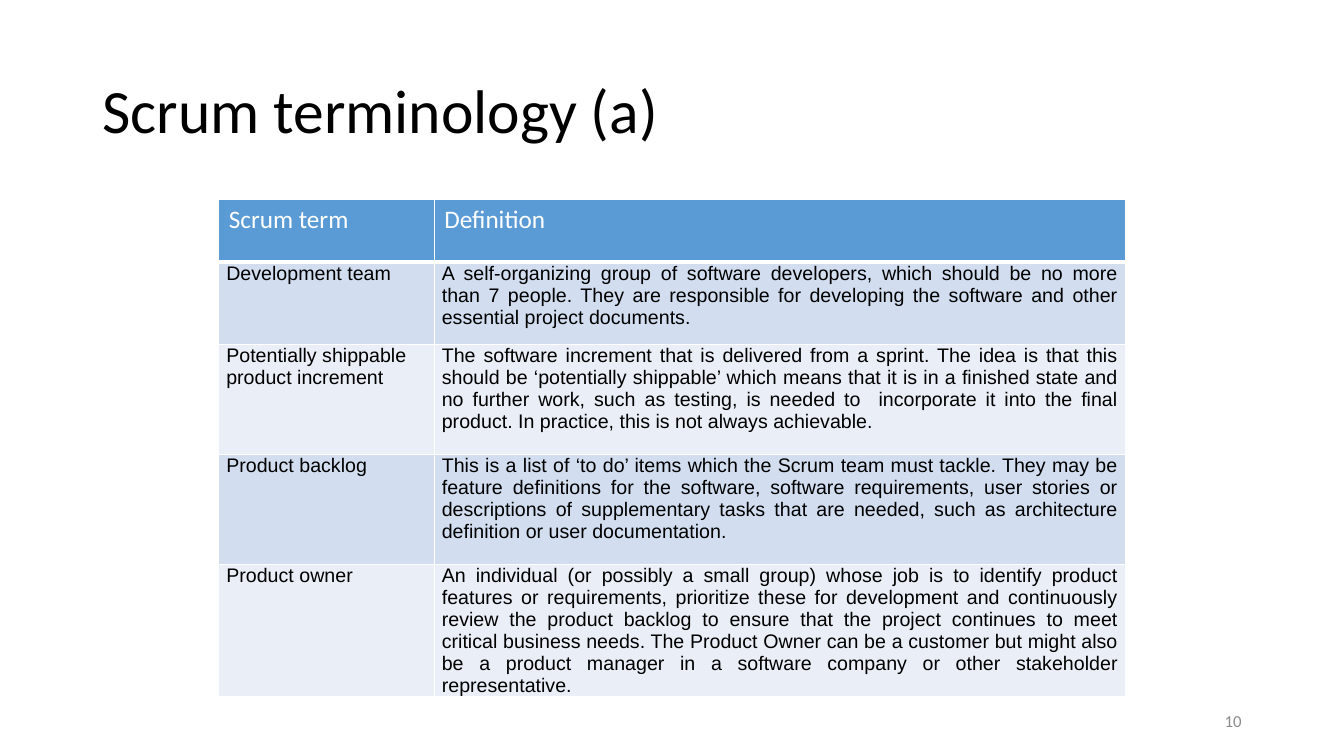
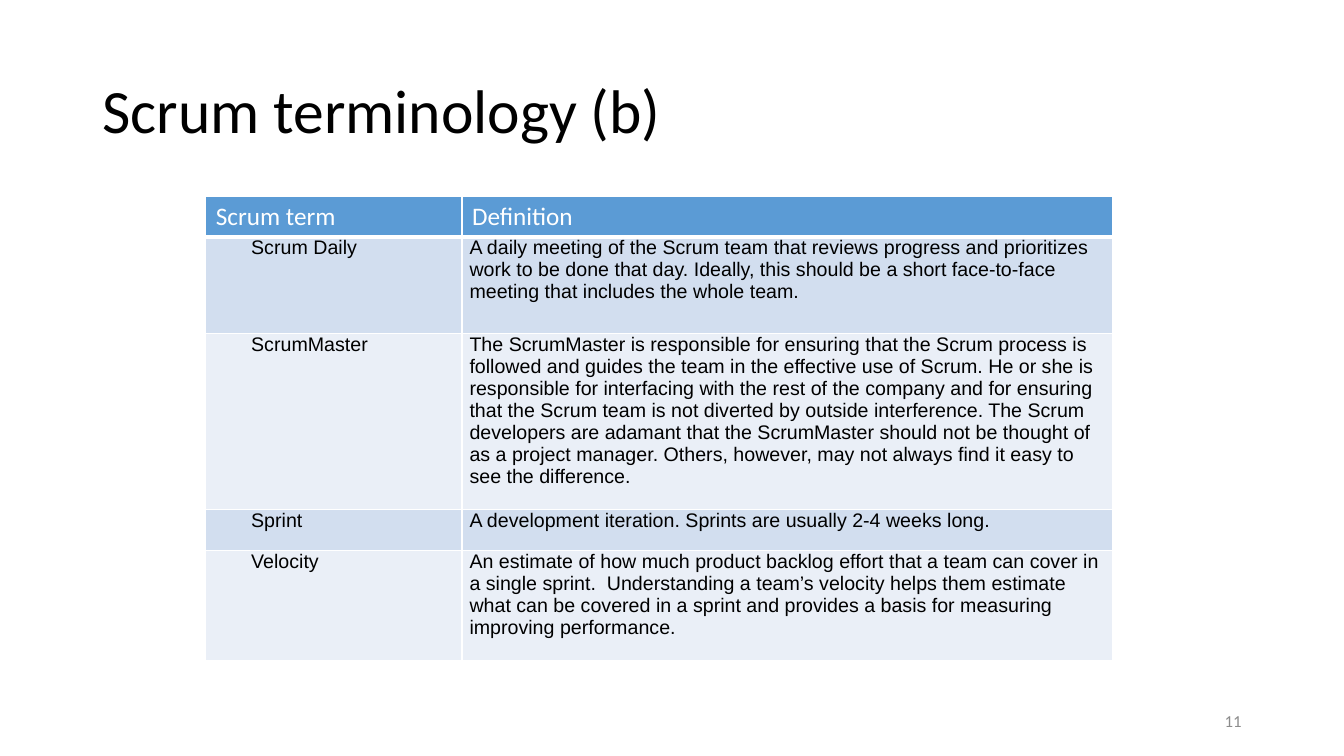
from dataclasses import dataclass
from typing import Any

from lxml.etree import SubElement
from pptx import Presentation
from pptx.dml.color import RGBColor
from pptx.enum.text import MSO_ANCHOR, MSO_AUTO_SIZE, PP_ALIGN
from pptx.oxml import parse_xml
from pptx.oxml.ns import nsdecls, qn
from pptx.util import Pt

WHITE, BLACK, GREY = "FFFFFF", "000000", "8C8C8C"
HEADER_BLUE, BODY_BLUES = "5B9BD5", ("D2DEEF", "EAEFF7")
FIRST_NUMBER = 10
HEADINGS = ("Scrum term", "Definition")

TITLE_FONT = {"name": "Calibri", "size": Pt(44), "bold": False}
HEADER_FONT = {"name": "Calibri", "size": Pt(18), "bold": False}
BODY_FONT = {"name": "Arial", "size": Pt(14), "bold": False}
TITLE_BOX = {"left": Pt(66), "top": Pt(28.75), "width": Pt(828), "height": Pt(104.4)}
TITLE_FRAME = {
    "vertical_anchor": MSO_ANCHOR.MIDDLE,
    "auto_size": MSO_AUTO_SIZE.NONE,
    "word_wrap": True,
}
TITLE_PARAGRAPH = {"alignment": PP_ALIGN.LEFT, "line_spacing": 0.9}
BODY_MARGINS = {
    "margin_left": Pt(5.4),
    "margin_right": Pt(5.4),
    "margin_top": Pt(0),
    "margin_bottom": Pt(0),
}


@dataclass(frozen=True)
class Term:
    name: str
    definition: str
    height: float
    space_after: float = 0


@dataclass(frozen=True)
class Glossary:
    title: str
    left: float
    top: float
    widths: tuple[float, float]
    header_height: float
    term_indent: float
    alignment: PP_ALIGN
    terms: tuple[Term, ...]


GLOSSARIES = (
    Glossary(
        "Scrum terminology (a)", 156.25, 142.5, (154, 494), 44.8, 0, PP_ALIGN.JUSTIFY,
        (
            Term(
                "Development team",
                "A self-organizing group of software developers, which should be no more "
                "than 7 people. They are responsible for developing the software and other "
                "essential project documents.",
                58.8,
            ),
            Term(
                "Potentially shippable product increment",
                "The software increment that is delivered from a sprint. The idea is that this "
                "should be ‘potentially shippable’ which means that it is in a finished state "
                "and no further work, such as testing, is needed to  incorporate it into the "
                "final product. In practice, this is not always achievable.",
                78.6,
            ),
            Term(
                "Product backlog",
                "This is a list of ‘to do’ items which the Scrum team must tackle. They may be "
                "feature definitions for the software, software requirements, user stories or "
                "descriptions of supplementary tasks that are needed, such as architecture "
                "definition or user documentation.",
                78.6,
            ),
            Term(
                "Product owner",
                "An individual (or possibly a small group) whose job is to identify product "
                "features or requirements, prioritize these for development and continuously "
                "review the product backlog to ensure that the project continues to meet "
                "critical business needs. The Product Owner can be a customer but might also "
                "be a product manager in a software company or other stakeholder "
                "representative.",
                94.2,
            ),
        ),
    ),
    Glossary(
        "Scrum terminology (b)", 147, 140, (183, 465), 29.2, 27, PP_ALIGN.LEFT,
        (
            Term(
                "Scrum Daily",
                "A daily meeting of the Scrum team that reviews progress and prioritizes work "
                "to be done that day. Ideally, this should be a short face-to-face meeting "
                "that includes the whole team.",
                69,
                6,
            ),
            Term(
                "ScrumMaster",
                "The ScrumMaster is responsible for ensuring that the Scrum process is followed "
                "and guides the team in the effective use of Scrum. He or she is responsible "
                "for interfacing with the rest of the company and for ensuring that the Scrum "
                "team is not diverted by outside interference. The Scrum developers are adamant "
                "that the ScrumMaster should not be thought of as a project manager. Others, "
                "however, may not always find it easy to see the difference.",
                125.8,
            ),
            Term(
                "Sprint",
                "A development iteration. Sprints are usually 2-4 weeks long.",
                29.2,
            ),
            Term(
                "Velocity",
                "An estimate of how much product backlog effort that a team can cover in a "
                "single sprint.  Understanding a team’s velocity helps them estimate what can "
                "be covered in a sprint and provides a basis for measuring improving "
                "performance.",
                78.6,
            ),
        ),
    ),
)


def apply(target: Any, values: dict[str, Any]) -> None:
    for name, value in values.items():
        setattr(target, name, value)


def paint(target: Any, colour: str) -> None:
    target.rgb = RGBColor.from_string(colour)


def write(frame: Any, text: str, font: dict[str, Any], colour: str) -> Any:
    para = frame.paragraphs[0]
    span = para.add_run()
    span.text = text
    apply(span.font, font)
    paint(span.font.color, colour)
    return para


def add_borders(cell: Any, bottom: float) -> None:
    properties = cell._tc.get_or_add_tcPr()
    widths = {"lnL": 1, "lnR": 1, "lnT": 1, "lnB": bottom}
    for position, (side, width) in enumerate(widths.items()):
        border = parse_xml(
            f'<a:{side} {nsdecls("a")} w="{Pt(width)}"><a:solidFill>'
            f'<a:srgbClr val="{WHITE}"/></a:solidFill></a:{side}>'
        )
        properties.insert(position, border)


def fill_cell(cell: Any, text: str, font: dict[str, Any], colour: str,
              background: str, bottom: float = 1) -> Any:
    cell.fill.solid()
    paint(cell.fill.fore_color, background)
    add_borders(cell, bottom)
    return write(cell.text_frame, text, font, colour)


def add_title(page: Any, text: str) -> None:
    title = page.shapes.title
    apply(title, TITLE_BOX)
    apply(title.text_frame, TITLE_FRAME)
    apply(write(title.text_frame, text, TITLE_FONT, BLACK), TITLE_PARAGRAPH)


def add_glossary(page: Any, glossary: Glossary) -> None:
    heights = [glossary.header_height, *(term.height for term in glossary.terms)]
    table = page.shapes.add_table(
        len(heights), len(HEADINGS), Pt(glossary.left), Pt(glossary.top),
        Pt(sum(glossary.widths)), Pt(sum(heights)),
    ).table
    for column, width in zip(table.columns, glossary.widths):
        column.width = Pt(width)
    for row, height in zip(table.rows, heights):
        row.height = Pt(height)
    for column, heading in enumerate(HEADINGS):
        fill_cell(table.cell(0, column), heading, HEADER_FONT, WHITE, HEADER_BLUE, 3)
    alignments = (PP_ALIGN.LEFT, glossary.alignment)
    indents = (glossary.term_indent, 0)
    for row, term in enumerate(glossary.terms, 1):
        background = BODY_BLUES[(row - 1) % len(BODY_BLUES)]
        for column, text in enumerate((term.name, term.definition)):
            cell = table.cell(row, column)
            apply(cell, BODY_MARGINS)
            para = fill_cell(cell, text, BODY_FONT, BLACK, background)
            apply(para, {"alignment": alignments[column], "space_after": Pt(term.space_after)})
            apply_indent(para, indents[column])


def apply_indent(para: Any, indent: float) -> None:
    properties = para._p.get_or_add_pPr()
    properties.set("marL", "0")
    properties.set("indent", str(Pt(indent)))


def add_page_number(page: Any, number: int) -> None:
    box = page.shapes.add_textbox(Pt(678), Pt(500.5), Pt(216), Pt(28.75))
    apply(box.text_frame, {"word_wrap": True, "vertical_anchor": MSO_ANCHOR.MIDDLE})
    para = box.text_frame.paragraphs[0]
    para.alignment = PP_ALIGN.RIGHT
    field = SubElement(para._p, qn("a:fld"))
    field.set("id", "{B6F15528-21DE-4FAA-801E-634DDDAF4B2B}")
    field.set("type", "slidenum")
    field.append(parse_xml(
        f'<a:rPr {nsdecls("a")} lang="en-GB" sz="1200"><a:solidFill>'
        f'<a:srgbClr val="{GREY}"/></a:solidFill><a:latin typeface="Calibri"/></a:rPr>'
    ))
    SubElement(field, qn("a:t")).text = str(number)


def main() -> None:
    deck = Presentation()
    apply(deck, {"slide_width": Pt(960), "slide_height": Pt(540)})
    deck.element.set("firstSlideNum", str(FIRST_NUMBER))
    for number, glossary in enumerate(GLOSSARIES, FIRST_NUMBER):
        page = deck.slides.add_slide(deck.slide_layouts[5])
        add_title(page, glossary.title)
        add_glossary(page, glossary)
        add_page_number(page, number)
    deck.save("out.pptx")


if __name__ == "__main__":
    main()
